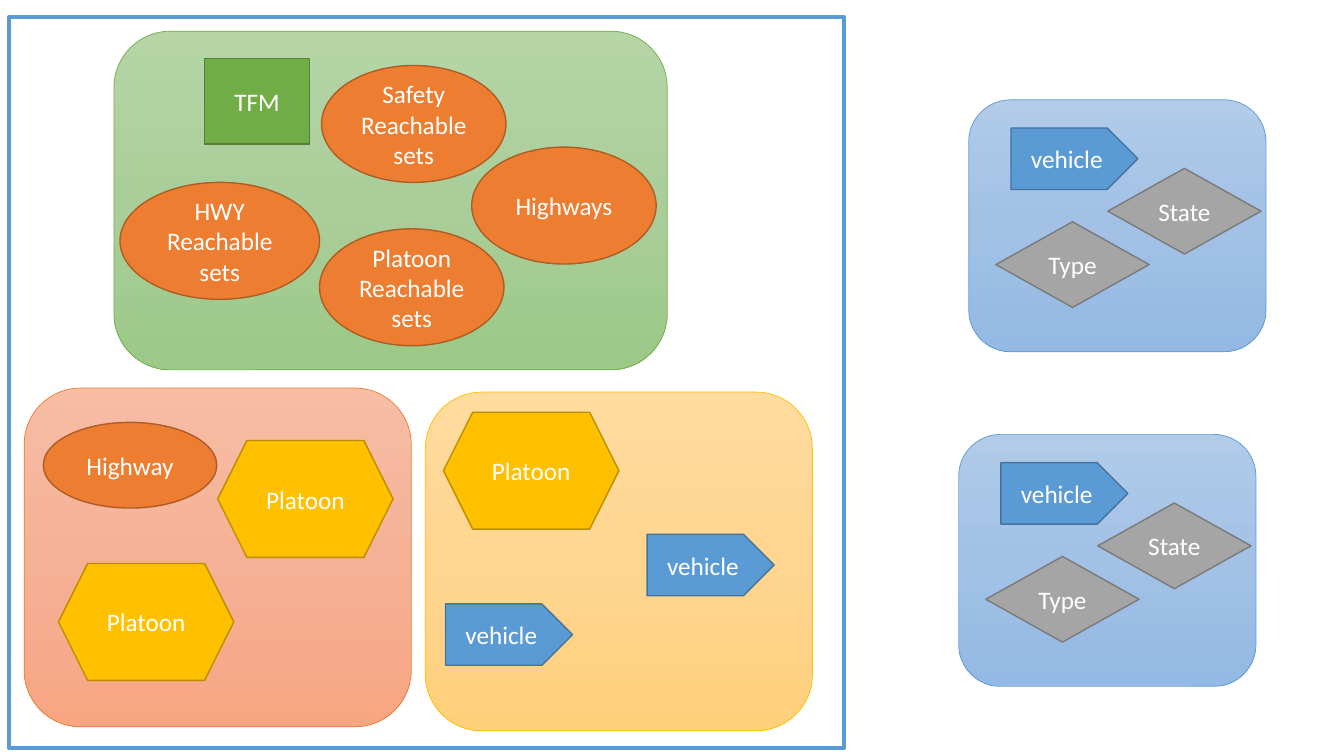
from copy import deepcopy

from pptx import Presentation
from pptx.dml.color import RGBColor
from pptx.enum.shapes import MSO_SHAPE
from pptx.enum.text import MSO_ANCHOR, PP_ALIGN
from pptx.oxml.ns import qn
from pptx.util import Inches, Pt

RECTANGLE = MSO_SHAPE.RECTANGLE
ROUNDED = MSO_SHAPE.ROUNDED_RECTANGLE
MIDDLE = MSO_ANCHOR.MIDDLE
CENTER = PP_ALIGN.CENTER

# The slide is a grid of square cells, ten to the inch
CELL = Inches(0.1)
COLUMNS, ROWS = 133.33, 75
BLANK_LAYOUT = 6
FONT = {"name": "Calibri", "size": Pt(18)}
WHITE = "FFFFFF"

# Kind of item: preset shape, fill, outline
KINDS = {
    "manager": (RECTANGLE, "70AD47", "538035"),
    "highway": (MSO_SHAPE.OVAL, "ED7D31", "AF5C24"),
    "platoon": (MSO_SHAPE.HEXAGON, "FFC000", "BD8E00"),
    "vehicle": (MSO_SHAPE.PENTAGON, "5B9BD5", "43739E"),
    "property": (MSO_SHAPE.DIAMOND, "A5A5A5", "7A7A7A"),
}

# Panel colours: gradient from top to bottom, outline
GREEN = (("B5D5A7", "AACE9A", "9CC987"), "70AD47")
ORANGE = (("F7BDA5", "F5B196", "F8A582"), "ED7D31")
YELLOW = (("FFDB9E", "FFD590", "FFD07C"), "FFC000")
BLUE = (("B1CBE9", "A3C1E5", "93B9E4"), "5B9BD5")

# Item sizes in columns and rows
REACHABLE = (18.3, 11.6)
HEXAGON = (17.4, 11.6)
ARROW = (12.6, 6.1)
DIAMOND = (15.2, 8.5)

# Items: kind, text, offset from the panel's corner, size
MANAGER_ITEMS = [
    ("manager", "TFM", (9, 2.7), (10.4, 8.5)),
    ("highway", "HWY Reachable sets", (0.6, 15), (19.8, 11.6)),
    ("highway", "Safety Reachable sets", (20.6, 3.4), REACHABLE),
    ("highway", "Platoon Reachable sets", (20.4, 19.6), REACHABLE),
    ("highway", "Highways", (35.5, 11.5), REACHABLE),
]
HIGHWAY_ITEMS = [
    ("highway", "Highway", (1.9, 3.4), (17.2, 8.5)),
    ("platoon", "Platoon", (19.2, 5.2), HEXAGON),
    ("platoon", "Platoon", (3.4, 17.4), HEXAGON),
]
PLATOON_ITEMS = [
    ("vehicle", "vehicle", (2, 21), ARROW),
    ("platoon", "Platoon", (1.8, 2), HEXAGON),
    ("vehicle", "vehicle", (22, 14.1), ARROW),
]
VEHICLE_ITEMS = [
    ("property", "State", (13.8, 6.8), DIAMOND),
    ("vehicle", "vehicle", (4.2, 2.8), ARROW),
    ("property", "Type", (2.7, 12.1), DIAMOND),
]

# Panels: corner, size, colours, items
MANAGER_PANEL = ((11.3, 3.1), (54.9, 33.6), GREEN, MANAGER_ITEMS)
OTHER_PANELS = [
    ((2.4, 38.5), (38.4, 33.6), ORANGE, HIGHWAY_ITEMS),
    ((42.2, 38.9), (38.4, 33.6), YELLOW, PLATOON_ITEMS),
    ((96.1, 9.9), (29.5, 25), BLUE, VEHICLE_ITEMS),
    ((95.1, 43.1), (29.5, 25), BLUE, VEHICLE_ITEMS),
]


def color(value):
    return RGBColor.from_string(value)


def cells(*counts):
    return [round(count * CELL) for count in counts]


def add_outlined(shapes, preset, corner, size, outline, weight):
    box = shapes.add_shape(preset, *cells(*corner, *size))
    box.shadow.inherit = False
    box.line.color.rgb = color(outline)
    box.line.width = Pt(weight)
    return box


def fill_gradient(box, shades):
    box.fill.gradient()
    box.fill.gradient_angle = 270
    # A new gradient has two stops; add the middle one
    stop_list = box.fill._xPr.find(qn("a:gradFill")).find(qn("a:gsLst"))
    stop_list.insert(1, deepcopy(stop_list[0]))
    for index, (stop, shade) in enumerate(zip(box.fill.gradient_stops, shades)):
        stop.color.rgb = color(shade)
        stop.position = index / (len(shades) - 1)


def add_item(shapes, kind, text, corner, size):
    preset, fill, outline = KINDS[kind]
    box = add_outlined(shapes, preset, corner, size, outline, 1)
    box.fill.solid()
    box.fill.fore_color.rgb = color(fill)
    box.text_frame.word_wrap = True
    box.text_frame.vertical_anchor = MIDDLE
    para = box.text_frame.paragraphs[0]
    para.alignment = CENTER
    span = para.add_run()
    span.text = text
    for attribute, value in FONT.items():
        setattr(span.font, attribute, value)
    span.font.color.rgb = color(WHITE)


def add_panel(page, corner, size, colors, items):
    shades, outline = colors
    shapes = page.shapes.add_group_shape().shapes
    panel = add_outlined(shapes, ROUNDED, corner, size, outline, 0.5)
    fill_gradient(panel, shades)
    left, top = corner
    for kind, text, (across, down), item_size in items:
        add_item(shapes, kind, text, (left + across, top + down), item_size)


def add_frame(page):
    frame = add_outlined(page.shapes, RECTANGLE, (0.9, 1.7), (82.8, 72.5), "5B9BD5", 3)
    frame.fill.background()


def main():
    deck = Presentation()
    deck.slide_width, deck.slide_height = cells(COLUMNS, ROWS)
    page = deck.slides.add_slide(deck.slide_layouts[BLANK_LAYOUT])

    add_panel(page, *MANAGER_PANEL)
    add_frame(page)
    for panel in OTHER_PANELS:
        add_panel(page, *panel)

    deck.save("out.pptx")


main()
